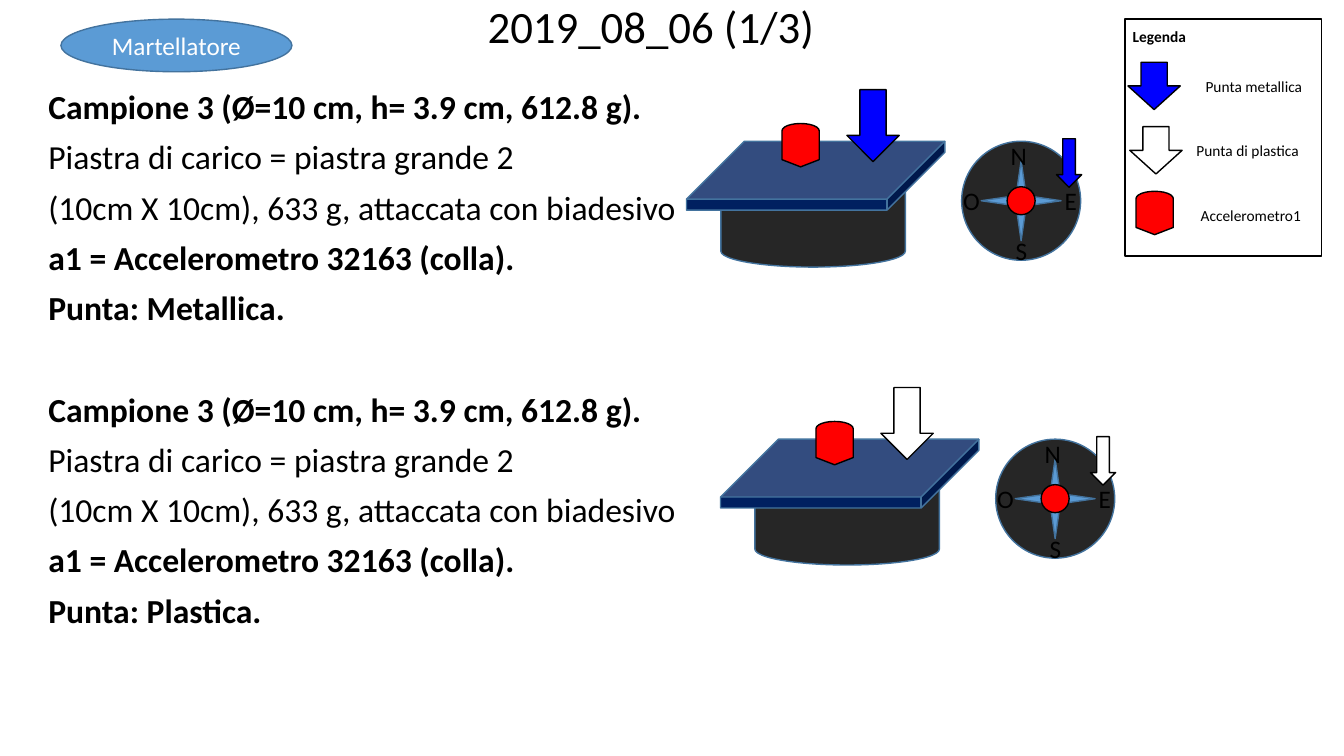
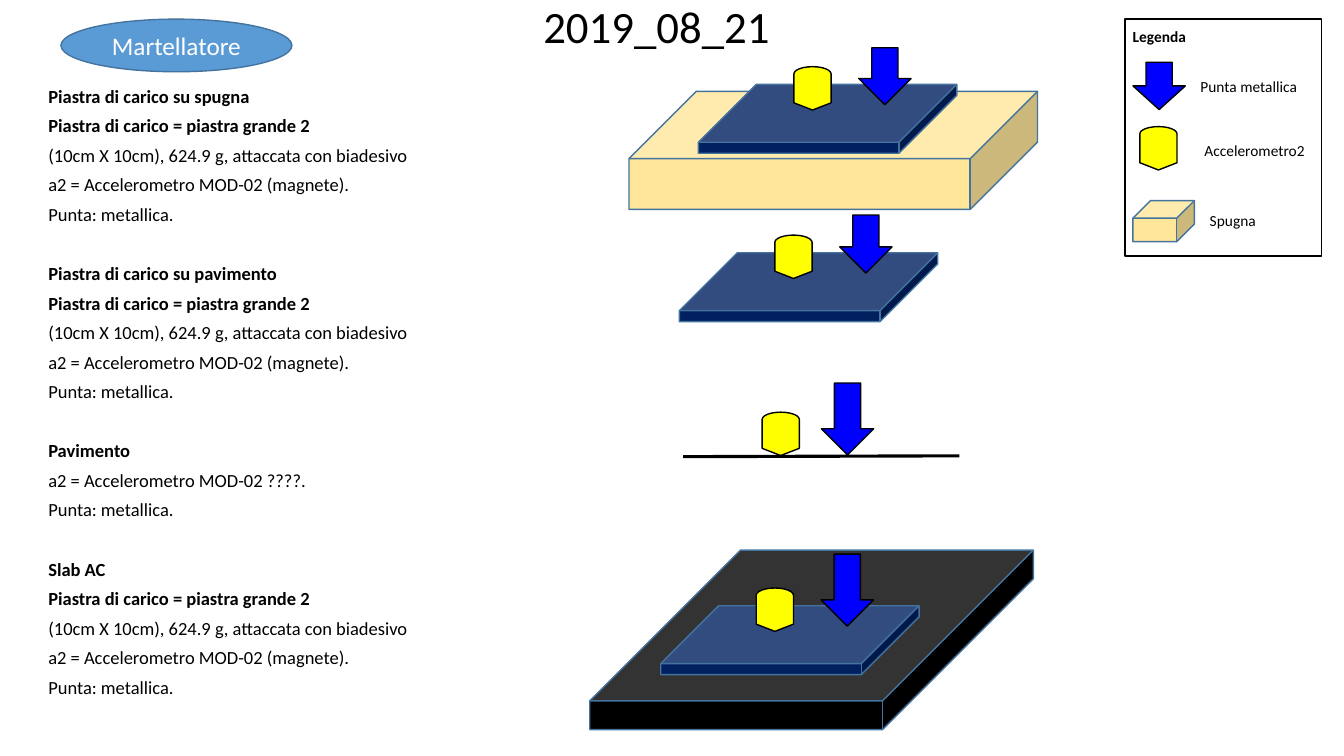
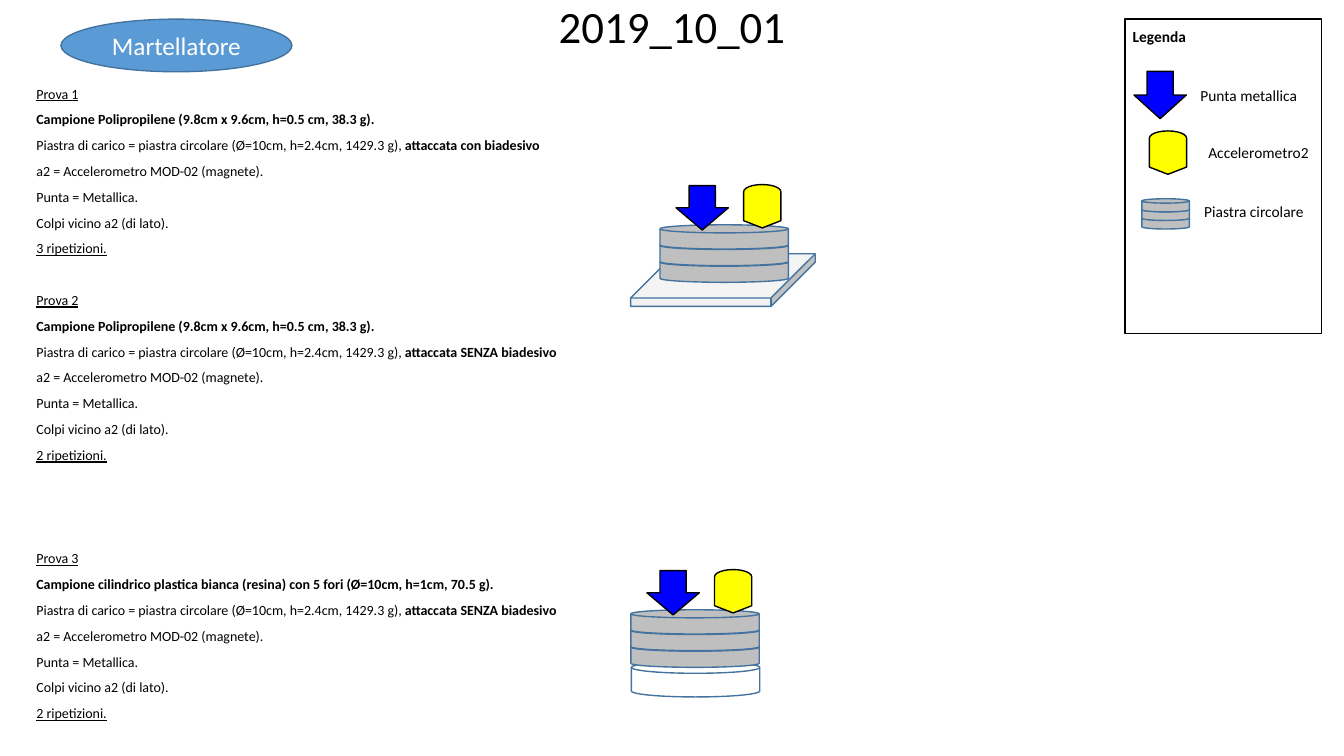
"""Builds three slides describing hammer tests on load plates."""
from dataclasses import dataclass

from lxml.etree import SubElement
from pptx import Presentation
from pptx.dml.color import RGBColor
from pptx.enum.shapes import MSO_CONNECTOR, MSO_SHAPE
from pptx.enum.text import MSO_ANCHOR, PP_ALIGN
from pptx.oxml.ns import qn
from pptx.util import Pt

FONT = "Calibri"
BLACK = RGBColor(0x00, 0x00, 0x00)
WHITE = RGBColor(0xFF, 0xFF, 0xFF)
BLUE = RGBColor(0x00, 0x00, 0xFF)
RED = RGBColor(0xFF, 0x00, 0x00)
YELLOW = RGBColor(0xFF, 0xFF, 0x00)
NAVY = RGBColor(0x00, 0x20, 0x60)
SKY = RGBColor(0x5B, 0x9B, 0xD5)
EDGE = RGBColor(0x43, 0x73, 0x9E)
ASPHALT = RGBColor(0x26, 0x26, 0x26)
SPONGE = RGBColor(0xFF, 0xE6, 0x99)
STEEL = RGBColor(0xBF, 0xBF, 0xBF)
PLASTIC = RGBColor(0xF2, 0xF2, 0xF2)
SLIDE_W, SLIDE_H = 960, 540
ARROW_W = 37.4
SPACE = 10
GAUGE = "a2 = Accelerometro MOD-02"


@dataclass
class Line:
    """One paragraph, with an optional bold tail."""
    text: str
    bold: bool = False
    underline: bool = False
    tail: str = ""


def shape(s, kind, x, y, w, h, fill=None, edge=EDGE, adj=None):
    """Add a flat preset shape with a one-point outline."""
    sp = s.shapes.add_shape(kind, Pt(x), Pt(y), Pt(w), Pt(h))
    sp.shadow.inherit = False
    if fill is None:
        sp.fill.background()
    else:
        sp.fill.solid()
        sp.fill.fore_color.rgb = fill
    sp.line.color.rgb = edge
    sp.line.width = Pt(1)
    if adj is not None:
        sp.adjustments[0] = adj
    return sp


def style(p, size, color=BLACK, bold=False):
    """Set the font of a paragraph."""
    p.font.name = FONT
    p.font.size = Pt(size)
    p.font.color.rgb = color
    p.font.bold = bold


def textbox(s, x, y, w, h):
    """Add a wrapping, top-anchored text box and return its frame."""
    tf = s.shapes.add_textbox(Pt(x), Pt(y), Pt(w), Pt(h)).text_frame
    tf.word_wrap = True
    tf.vertical_anchor = MSO_ANCHOR.TOP
    return tf


def label(s, x, y, w, text, size, bold=False):
    """Add a one-line label."""
    p = textbox(s, x, y, w, size * 1.9).paragraphs[0]
    p.text = text
    style(p, size, bold=bold)


def header(s, title, w=SLIDE_W):
    """Add the title, centred in the given width, and the device badge."""
    p = textbox(s, 0, 0, w, 61.2).paragraphs[0]
    p.text = title
    p.alignment = PP_ALIGN.CENTER
    p.line_spacing = 0.9
    style(p, 32)
    sp = shape(s, MSO_SHAPE.OVAL, 43.5, 13.7, 165, 37.6, SKY)
    sp.text_frame.vertical_anchor = MSO_ANCHOR.MIDDLE
    p = sp.text_frame.paragraphs[0]
    p.text = "Martellatore"
    p.alignment = PP_ALIGN.CENTER
    style(p, 18, WHITE)


def body(s, x, y, size, spacing, blocks):
    """Write blocks of lines; each block is (empty lines above, lines)."""
    tf = textbox(s, x, y, 906.5, 469.4)
    p = tf.paragraphs[0]
    pitch = size * 1.22 * spacing + SPACE
    for n, (gap, lines) in enumerate(blocks):
        for i, line in enumerate(lines):
            if n or i:
                p = tf.add_paragraph()
                p.space_before = Pt(round(SPACE + (0 if i else gap * pitch), 1))
            p.line_spacing = spacing
            style(p, size, bold=line.bold)
            p.font.underline = line.underline
            p.add_run().text = line.text
            if line.tail:
                r = p.add_run()
                r.text = line.tail
                r.font.bold = True


def arrow(s, x, y, h, fill=BLUE, w=ARROW_W):
    """Draw a hammer tip as a down arrow."""
    shape(s, MSO_SHAPE.DOWN_ARROW, x, y, w, h, fill, BLACK)


def sensor(s, x, y, fill=YELLOW):
    """Draw an accelerometer standing upright."""
    shape(s, MSO_SHAPE.FLOWCHART_DISPLAY, x, y, 31, 26.6, fill, BLACK).rotation = 270


def cube(s, x, y, w, h, fill, adj=0.84):
    """Draw a slab in perspective."""
    shape(s, MSO_SHAPE.CUBE, x, y, w, h, fill, adj=adj)


def disk(s, x, y, w, h, fill):
    """Draw a cylinder."""
    shape(s, MSO_SHAPE.FLOWCHART_MAGNETIC_DISK, x, y, w, h, fill)


def disk_stack(s, x, y, w=91.7, h=17.3, pitch=11.9):
    """Draw a round plate as three disks, the lowest first."""
    for i in (2, 1, 0):
        disk(s, x, y + i * pitch, w, h, STEEL)


def struck_plate(s, x, y, arrow_h=51.4, tip=BLUE, gauge=YELLOW):
    """Draw the square plate with its hammer tip and accelerometer."""
    cube(s, x, y, 184.6, 49.2, NAVY)
    arrow(s, x + 114.5, y + 14.5 - arrow_h, arrow_h, tip)
    sensor(s, x + 66, y - 10.5, gauge)


def struck_stack(s, x, y):
    """Draw the round plate with its hammer tip and accelerometer."""
    disk_stack(s, x, y)
    sensor(s, x + 57.6, y - 26.6)
    arrow(s, x + 11.5, y - 28, 31.7)


def compass(s, x, y, tip):
    """Draw the plan view with cardinal points and the point of impact."""
    shape(s, MSO_SHAPE.OVAL, x, y, 85, 85, ASPHALT)
    shape(s, MSO_SHAPE.STAR_4_POINT, x + 14, y + 14, 57, 57, SKY, adj=0.09)
    for text, dx, dy in (("N", 28, -4.5), ("O", -6, 28), ("E", 66.5, 28), ("S", 31.5, 63.5)):
        label(s, x + dx, y + dy, 28, text, 18)
    arrow(s, x + 67.7, y - 1.8, 34.7, tip, 18)
    shape(s, MSO_SHAPE.FLOWCHART_CONNECTOR, x + 32.5, y + 32.5, 20, 20, RED, BLACK)


def sample(s, x, y, tip):
    """Draw a sample under its struck plate, beside its compass."""
    disk(s, x + 24.5, y + 21.5, 131.8, 68.4, ASPHALT)
    compass(s, x + 196.5, y, tip)
    struck_plate(s, x, y, tip=tip, gauge=RED)


def legend(s, h, labels):
    """Draw the legend frame, its heading and its labels."""
    x, y = 803.5, 13.7
    shape(s, MSO_SHAPE.RECTANGLE, x, y, 140.5, h, edge=BLACK)
    label(s, x - 1.5, y + 2.2, 93.6, "Legenda", 11, True)
    for text, dx, dy in labels:
        label(s, x + dx, y + dy, 98, text, 11)


def sample_slide(s):
    """Build the slide of sample 3, struck with two tips."""
    header(s, "2019_08_06 (1/3)", 930)
    blocks = [(gap, [
        Line("Campione 3 (Ø=10 cm, h= 3.9 cm, 612.8 g).", True),
        Line("Piastra di carico = piastra grande 2"),
        Line("(10cm X 10cm), 633 g, attaccata con biadesivo"),
        Line("a1 = Accelerometro 32163 (colla).", True),
        Line(f"Punta: {tip}.", True),
    ]) for gap, tip in ((0, "Metallica"), (1, "Plastica"))]
    body(s, 27.4, 61.2, 24, 0.9, blocks)
    sample(s, 490.4, 100.9, BLUE)
    sample(s, 514.7, 313.7, WHITE)
    legend(s, 169.2, (("Punta metallica", 50.5, 38), ("Punta di plastica", 44, 83.7),
                      ("Accelerometro1", 47, 130)))
    arrow(s, 805.7, 44.5, 33.8)
    arrow(s, 807, 90.5, 33.8, WHITE)
    sensor(s, 809.3, 138.8, RED)


def support_slide(s):
    """Build the slide of the four supports."""
    cube(s, 449.3, 65.3, 291.8, 84.3, SPONGE, 0.57)
    header(s, "2019_08_21", 938)
    plate = Line("Piastra di carico = piastra grande 2", True)
    tip = Line("Punta: metallica.")
    plate_lines = [plate, Line("(10cm X 10cm), 624.9 g, attaccata con biadesivo"),
                   Line(f"{GAUGE} (magnete)."), tip]
    body(s, 27.4, 61.2, 13.2, 0.7, [
        (0, [Line("Piastra di carico su spugna", True), *plate_lines]),
        (1, [Line("Piastra di carico su pavimento", True), *plate_lines]),
        (1, [Line("Pavimento", True), Line(f"{GAUGE} ????."), tip]),
        (1, [Line("Slab AC", True), *plate_lines]),
    ])
    struck_plate(s, 498.9, 60.3, 40.7)
    cube(s, 421.3, 392.9, 316.8, 128.2, BLACK)
    struck_plate(s, 472, 432.7)
    struck_plate(s, 485.3, 180.6, 41.5)
    arrow(s, 586.7, 273.6, 51.4)
    sensor(s, 542.2, 296.6)
    floor = s.shapes.add_connector(MSO_CONNECTOR.STRAIGHT, Pt(488), Pt(326.2), Pt(685.3), Pt(325.6))
    floor.line.color.rgb = BLACK
    floor.line.width = Pt(2.25)
    SubElement(floor._element.spPr, qn("a:effectLst"))
    legend(s, 169.2, (("Punta metallica", 46.8, 37.6), ("Accelerometro2", 49.7, 83.5),
                      ("Spugna", 53.5, 133.2)))
    arrow(s, 809.3, 44.5, 33.8)
    sensor(s, 812, 92.6)
    cube(s, 809.2, 143.3, 44, 29.3, SPONGE, 0.43)


def round_plate_slide(s):
    """Build the slide of the three tests with the round plate."""
    cube(s, 450.5, 181.3, 131.8, 37.6, PLASTIC)
    polypropylene = "Campione Polipropilene (9.8cm x 9.6cm, h=0.5 cm, 38.3 g)."
    cylinder = "Campione cilindrico plastica bianca (resina) con 5 fori (Ø=10cm, h=1cm, 70.5 g)."
    tests = ((0, polypropylene, "con", 3), (1, polypropylene, "SENZA", 2), (3, cylinder, "SENZA", 2))
    body(s, 18.9, 60.5, 10, 0.7, [(gap, [
        Line(f"Prova {n}", underline=True),
        Line(material, True),
        Line("Piastra di carico = piastra circolare (Ø=10cm, h=2.4cm, 1429.3 g), ",
             tail=f"attaccata {tape} biadesivo"),
        Line(f"{GAUGE} (magnete)."),
        Line("Punta = Metallica."),
        Line("Colpi vicino a2 (di lato)."),
        Line(f"{times} ripetizioni.", underline=True),
    ]) for n, (gap, material, tape, times) in enumerate(tests, 1)])
    disk(s, 451, 472.5, 91.7, 25.3, WHITE)
    header(s, "2019_10_01")
    legend(s, 224.6, (("Punta metallica", 46.8, 44), ("Accelerometro2", 52.5, 85),
                      ("Piastra circolare", 49.5, 126.8)))
    arrow(s, 810, 51, 33.8)
    sensor(s, 818.8, 95.7)
    disk_stack(s, 815.6, 142, 34, 9.4, 6.1)
    struck_stack(s, 471.4, 160.6)
    struck_stack(s, 450.6, 435.6)


def main():
    """Build and save the presentation."""
    prs = Presentation()
    prs.slide_width, prs.slide_height = Pt(SLIDE_W), Pt(SLIDE_H)
    for build in (sample_slide, support_slide, round_plate_slide):
        build(prs.slides.add_slide(prs.slide_layouts[6]))
    prs.save("out.pptx")


if __name__ == "__main__":
    main()
